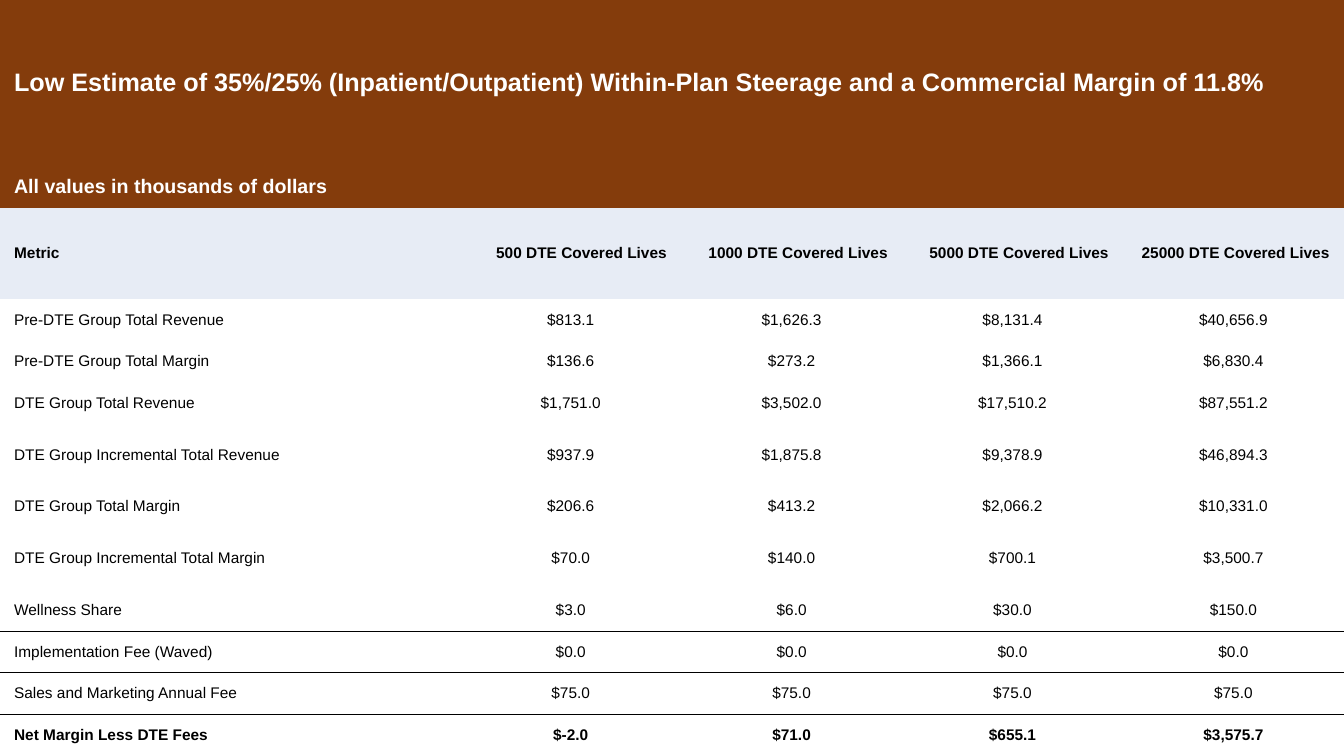
from lxml import etree
from pptx import Presentation
from pptx.dml.color import RGBColor
from pptx.enum.text import MSO_ANCHOR, PP_ALIGN
from pptx.oxml.ns import qn
from pptx.util import Inches, Pt

LEFT, CENTER, RIGHT = PP_ALIGN.LEFT, PP_ALIGN.CENTER, PP_ALIGN.RIGHT
MIDDLE = MSO_ANCHOR.MIDDLE

BROWN = RGBColor(0x84, 0x3C, 0x0C)
PALE_BLUE = RGBColor(0xE7, 0xEC, 0xF5)
WHITE = RGBColor(0xFF, 0xFF, 0xFF)
BLACK = RGBColor(0x00, 0x00, 0x00)

PLAIN_TABLE_STYLE = "{2D5ABB26-0587-4C30-8999-92F81FD0307C}"
COLUMN_SHARES = [25, 12, 12, 12, 12]
ROW_SHARES = [4, 1, 2.2, 1, 1, 1, 1.5, 1, 1.5, 1, 1, 1, 1]

BANNERS = [
    ("Low Estimate of 35%/25% (Inpatient/Outpatient) Within-Plan Steerage "
     "and a Commercial Margin of 11.8%", 18),
    ("All values in thousands of dollars", 14),
]
HEADINGS = ["Metric"] + [f"{lives} DTE Covered Lives" for lives in (500, 1000, 5000, 25000)]
METRICS = [
    ("Pre-DTE Group Total Revenue", "$813.1", "$1,626.3", "$8,131.4", "$40,656.9"),
    ("Pre-DTE Group Total Margin", "$136.6", "$273.2", "$1,366.1", "$6,830.4"),
    ("DTE Group Total Revenue", "$1,751.0", "$3,502.0", "$17,510.2", "$87,551.2"),
    ("DTE Group Incremental Total Revenue", "$937.9", "$1,875.8", "$9,378.9", "$46,894.3"),
    ("DTE Group Total Margin", "$206.6", "$413.2", "$2,066.2", "$10,331.0"),
    ("DTE Group Incremental Total Margin", "$70.0", "$140.0", "$700.1", "$3,500.7"),
    ("Wellness Share", "$3.0", "$6.0", "$30.0", "$150.0"),
    ("Implementation Fee (Waved)", "$0.0", "$0.0", "$0.0", "$0.0"),
    ("Sales and Marketing Annual Fee", "$75.0", "$75.0", "$75.0", "$75.0"),
    ("Net Margin Less DTE Fees", "$-2.0", "$71.0", "$655.1", "$3,575.7"),
]
RULED_BELOW = ("Wellness Share", "Sales and Marketing Annual Fee")


class TableSlide:
    """Hold the slide, its full-page table and the shared cell style."""

    font_name = "Arial"
    padding = Inches(0.14)
    rule_width = Pt(1)

    def __init__(self, deck):
        self.deck = deck
        self.slide = deck.slides.add_slide(deck.slide_layouts[6])

    def add_table(self, column_shares, row_shares):
        width, height = self.deck.slide_width, self.deck.slide_height
        frame = self.slide.shapes.add_table(
            len(row_shares), len(column_shares), 0, 0, width, height)
        self.table = frame.table
        self.table.first_row = self.table.horz_banding = False
        self.table._tbl.tblPr.find(qn("a:tableStyleId")).text = PLAIN_TABLE_STYLE
        for column, share in zip(self.table.columns, column_shares):
            column.width = int(width * share / sum(column_shares))
        for row, share in zip(self.table.rows, row_shares):
            row.height = int(height * share / sum(row_shares))

    def write_cell(self, cell, text, size=11, color=BLACK, bold=False, align=LEFT, fill=None):
        cell.margin_left = cell.margin_right = self.padding
        cell.margin_top = cell.margin_bottom = 0
        cell.vertical_anchor = MIDDLE
        if fill is None:
            cell.fill.background()
        else:
            cell.fill.solid()
            cell.fill.fore_color.rgb = fill
        para = cell.text_frame.paragraphs[0]
        para.text = text
        para.alignment = align
        for span in para.runs:
            span.font.name = self.font_name
            span.font.size = Pt(size)
            span.font.bold = bold
            span.font.color.rgb = color

    def write_banner(self, row, text, size):
        first = self.table.cell(row, 0)
        first.merge(self.table.cell(row, len(self.table.columns) - 1))
        self.write_cell(first, text, size, WHITE, True, fill=BROWN)

    def write_row(self, row, texts, value_align=CENTER, bold=False, fill=None):
        for column, text in enumerate(texts):
            align = value_align if column else LEFT
            self.write_cell(self.table.cell(row, column), text,
                            bold=bold, align=align, fill=fill)

    def rule_below(self, row):
        for column in range(len(self.table.columns)):
            for offset, edge in enumerate(("a:lnB", "a:lnT")):
                properties = self.table.cell(row + offset, column)._tc.get_or_add_tcPr()
                line = etree.Element(qn(edge), w=str(self.rule_width))
                paint = etree.SubElement(line, qn("a:solidFill"))
                etree.SubElement(paint, qn("a:srgbClr"), val=str(BLACK))
                properties.insert(0, line)


def main():
    deck = Presentation()
    deck.slide_width, deck.slide_height = Inches(13.33), Inches(7.5)
    page = TableSlide(deck)
    page.add_table(COLUMN_SHARES, ROW_SHARES)
    for row, (text, size) in enumerate(BANNERS):
        page.write_banner(row, text, size)
    heading_row = len(BANNERS)
    page.write_row(heading_row, HEADINGS, RIGHT, True, PALE_BLUE)
    for row, metric in enumerate(METRICS, heading_row + 1):
        page.write_row(row, metric, bold=metric is METRICS[-1])
        if metric[0] in RULED_BELOW:
            page.rule_below(row)
    deck.save("out.pptx")


if __name__ == "__main__":
    main()
